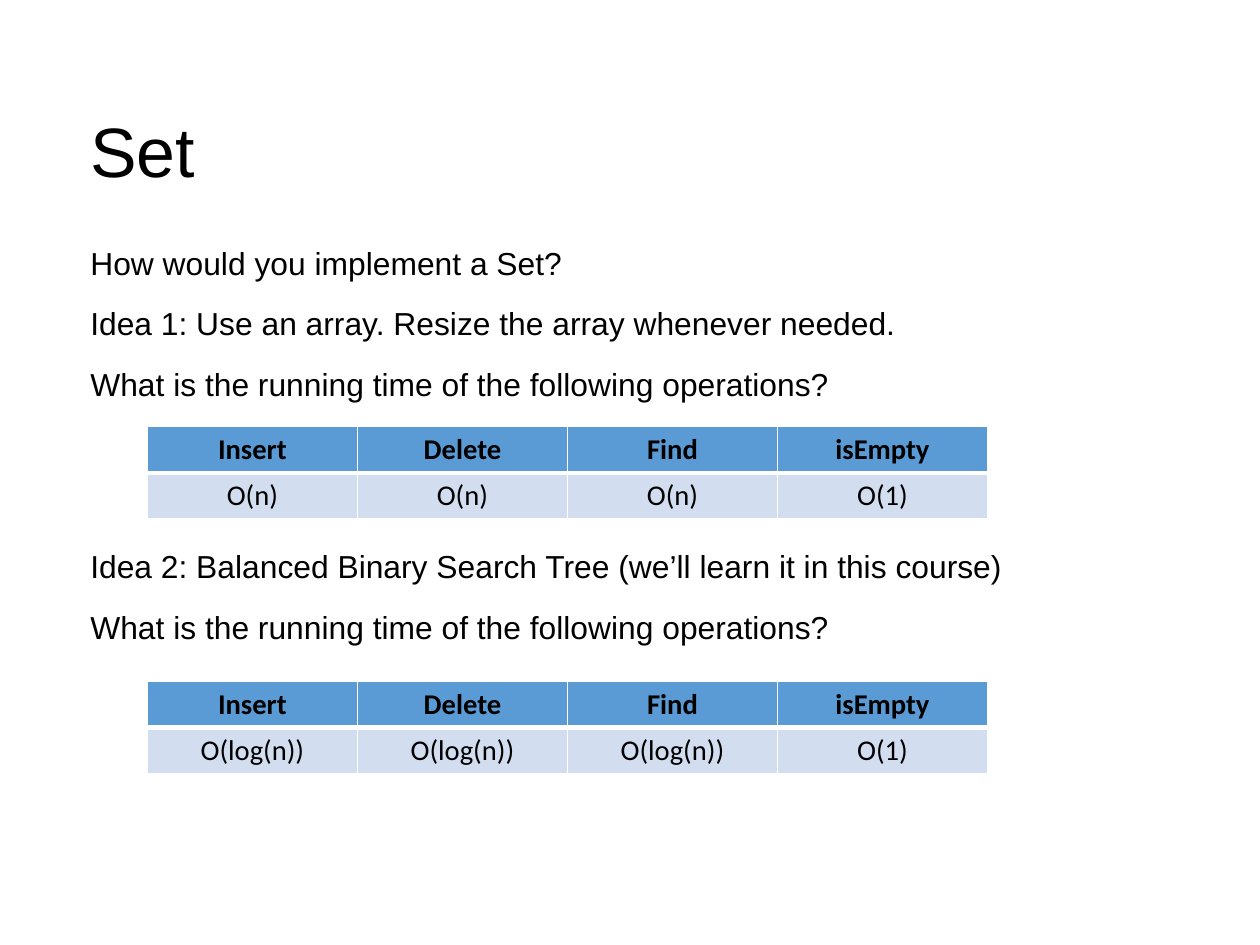
from dataclasses import dataclass

from lxml.etree import SubElement
from pptx import Presentation
from pptx.dml.color import RGBColor
from pptx.enum.text import MSO_ANCHOR, MSO_AUTO_SIZE, PP_ALIGN
from pptx.oxml.ns import qn
from pptx.slide import Slide
from pptx.table import _Cell
from pptx.text.text import TextFrame, _Paragraph
from pptx.util import Inches, Pt

BLACK = RGBColor(0x00, 0x00, 0x00)
WHITE = RGBColor(0xFF, 0xFF, 0xFF)
HEADER_BLUE = RGBColor(0x5B, 0x9B, 0xD5)
ROW_BLUE = RGBColor(0xD2, 0xDE, 0xEF)

# The page is 28 by 21 centimetres
CENTIMETRES_PER_INCH = 2.54
SLIDE_WIDTH = Inches(28 / CENTIMETRES_PER_INCH)
SLIDE_HEIGHT = Inches(21 / CENTIMETRES_PER_INCH)

LINE_HEIGHT = 24
PARAGRAPH_GAP = 14.2
# Room for the first table, as tall as two lines of text
TABLE_GAP = 2 * (LINE_HEIGHT + PARAGRAPH_GAP)

TABLE_LEFT = Inches(1.29)
TABLE_WIDTH = Inches(7.35)
TABLE_HEIGHT = Inches(0.81)
OPERATIONS = ("Insert", "Delete", "Find", "isEmpty")
RUNNING_TIME_QUESTION = "What is the running time of the following operations?"


@dataclass(frozen=True)
class Line:
    text: str
    space_before: float = 0


@dataclass(frozen=True)
class RunningTimes:
    top: float
    costs: tuple[str, ...]


LINES = (
    Line("How would you implement a Set?"),
    Line("Idea 1: Use an array. Resize the array whenever needed."),
    Line(RUNNING_TIME_QUESTION),
    Line("Idea 2: Balanced Binary Search Tree (we’ll learn it in this course)", TABLE_GAP),
    Line(RUNNING_TIME_QUESTION),
)
TABLES = (
    RunningTimes(3.73, ("O(n)", "O(n)", "O(n)", "O(1)")),
    RunningTimes(5.96, ("O(log(n))", "O(log(n))", "O(log(n))", "O(1)")),
)


def add_span(para: _Paragraph, text: str, font: str, size: int, bold: bool = False) -> None:
    span = para.add_run()
    span.text = text
    span.font.name = font
    span.font.size = Pt(size)
    span.font.bold = bold
    span.font.color.rgb = BLACK


def prepare_frame(frame: TextFrame, anchor: MSO_ANCHOR) -> None:
    frame.word_wrap = True
    frame.auto_size = MSO_AUTO_SIZE.NONE
    frame.vertical_anchor = anchor
    frame.margin_left = frame.margin_top = frame.margin_right = frame.margin_bottom = 0


def write_title(page: Slide) -> None:
    title = page.shapes.title
    title.left, title.top = Inches(0.79), Inches(0.75)
    title.width, title.height = Inches(9.25), Inches(1.12)
    prepare_frame(title.text_frame, MSO_ANCHOR.MIDDLE)
    para = title.text_frame.paragraphs[0]
    para.alignment = PP_ALIGN.LEFT
    add_span(para, "Set", "Arial", 44)


def add_body(page: Slide) -> None:
    box = page.shapes.add_textbox(Inches(0.79), Inches(2.13), Inches(9.68), Inches(5.21))
    frame = box.text_frame
    prepare_frame(frame, MSO_ANCHOR.TOP)
    for index, line in enumerate(LINES):
        para = frame.add_paragraph() if index else frame.paragraphs[0]
        para.line_spacing = Pt(LINE_HEIGHT)
        para.space_before = Pt(line.space_before)
        para.space_after = Pt(PARAGRAPH_GAP)
        add_span(para, line.text, "Arial", 20)


def set_borders(cell: _Cell, top: int, bottom: int) -> None:
    """Give the cell white borders, with side borders one point wide."""
    properties = cell._tc.get_or_add_tcPr()
    widths = {"a:lnL": 1, "a:lnR": 1, "a:lnT": top, "a:lnB": bottom}
    for position, (tag, width) in enumerate(widths.items()):
        border = SubElement(properties, qn(tag), w=str(Pt(width)))
        fill = SubElement(border, qn("a:solidFill"))
        SubElement(fill, qn("a:srgbClr"), val=str(WHITE))
        properties.insert(position, border)


def add_running_times(page: Slide, times: RunningTimes) -> None:
    rows = (OPERATIONS, times.costs)
    # Columns and rows share the table's size equally
    table = page.shapes.add_table(
        len(rows), len(OPERATIONS),
        TABLE_LEFT, Inches(times.top), TABLE_WIDTH, TABLE_HEIGHT,
    ).table
    for row_index, texts in enumerate(rows):
        is_header = row_index == 0
        for column_index, text in enumerate(texts):
            cell = table.cell(row_index, column_index)
            cell.fill.solid()
            cell.fill.fore_color.rgb = HEADER_BLUE if is_header else ROW_BLUE
            set_borders(cell, top=1 if is_header else 3, bottom=3 if is_header else 1)
            para = cell.text_frame.paragraphs[0]
            para.alignment = PP_ALIGN.CENTER
            add_span(para, text, "Calibri", 18, bold=is_header)


def main() -> None:
    deck = Presentation()
    deck.slide_width, deck.slide_height = SLIDE_WIDTH, SLIDE_HEIGHT
    page = deck.slides.add_slide(deck.slide_layouts[5])
    write_title(page)
    add_body(page)
    for times in TABLES:
        add_running_times(page, times)
    deck.save("out.pptx")


if __name__ == "__main__":
    main()
